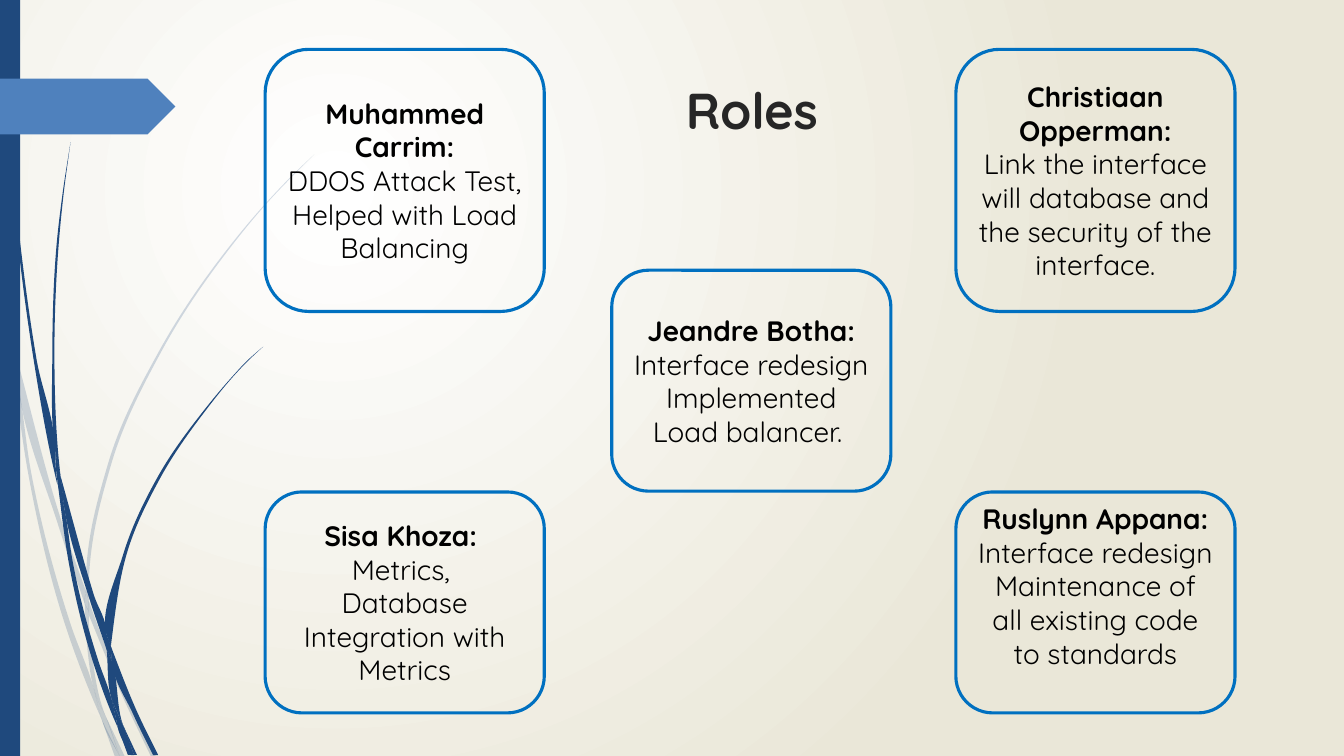
"""Build the Roles slide: five rounded role cards beside a spray of grass blades."""
from pptx import Presentation
from pptx.dml.color import RGBColor
from pptx.enum import shapes, text
from pptx.oxml import ns, xmlchemy
from pptx.util import Pt

NAVY = RGBColor(0x1F, 0x49, 0x7D)
BLUE = RGBColor(0x4F, 0x81, 0xBD)
OUTLINE = RGBColor(0x00, 0x70, 0xC0)
WHITE = RGBColor(0xFF, 0xFF, 0xFF)
SAND = RGBColor(0xEA, 0xE7, 0xD8)
CHARCOAL = RGBColor(0x26, 0x26, 0x26)
BLACK = RGBColor(0, 0, 0)
FONT = "Quicksand"
SLIDE_SIZE = (960, 540)

COLUMNS = (189.4, 437, 682.8)
ROWS = {"top": (35.3, 187.2), "middle": (193, 157.8), "bottom": (351.4, 157.8)}
CARD_WIDTH = 199.4
CARDS = [
    (2, "bottom", 27.6, "Ruslynn Appana:",
     ["Interface redesign", "Maintenance of all existing code to standards"]),
    (1, "middle", 3.6, "Jeandre Botha:", ["Interface redesign", "Implemented Load balancer. "]),
    (0, "top", 3.6, "Muhammed Carrim:", ["DDOS Attack Test,", "Helped with Load Balancing"]),
    (0, "bottom", 3.6, "Sisa Khoza: ", ["Metrics, \nDatabase Integration with Metrics"]),
    (2, "top", 3.6, "Christiaan Opperman:",
     ["Link the interface will database and the security of the interface."]),
]

PALE_BLADES = [
    ([(0, 203), (6.5, 231.8), (7.9, 252)], [(0, 215.3), (7.2, 247.7), (7.9, 252)]),
    ([(10.1, 248.4), (44.6, 374.4), (61.2, 421.9)],
     [(10.1, 248.4), (12.2, 270.7), (41.8, 375.8), (60.5, 431.3)]),
    ([(63.4, 429.1), (66.2, 437), (91.4, 498.2), (111.6, 540.7)],
     [(63.4, 439.2), (88.6, 499.7), (108, 540.7)]),
    ([(75.6, 511.9), (89.3, 540.7)], [(75.6, 511.9), (85.7, 540.7)]),
    ([(7.9, 252), (20.2, 338.4), (46.8, 447.1), (66.2, 499), (72.7, 514.1)],
     [(7.9, 252), (12.2, 270.7), (22.3, 337.7), (50.4, 445.7), (67, 491.8), (71.3, 509),
      (72.7, 514.1)]),
    ([(60.5, 431.3), (62.6, 465.1), (67, 491.8), (69.1, 498.2), (75.6, 511.9)],
     [(60.5, 431.3), (63.4, 437.8), (63.4, 439.2), (65.5, 465.1), (74.2, 508.3), (75.6, 511.9)]),
    ([(224.6, 110.2), (208.1, 126), (193, 141.8), (164.2, 175.7), (113.8, 250.6), (77, 331.9),
      (61.2, 420.5), (61.2, 421.9)],
     [(224.6, 110.2), (208.8, 126), (193, 142.6), (164.9, 176.4), (115.2, 251.3), (79.2, 332.6),
      (63.4, 420.5), (63.4, 429.1)]),
    ([(72.7, 514.1), (82.1, 540.7)], [(72.7, 514.1), (85.7, 540.7)]),
    ([(61.2, 421.9), (60.5, 431.3), (63.4, 437.8), (63.4, 439.2)],
     [(61.2, 421.9), (63.4, 429.1), (63.4, 439.2)]),
    ([(67, 491.8), (71.3, 509), (72.7, 514.1), (85.7, 540.7)],
     [(67, 491.8), (69.1, 498.2), (75.6, 511.9), (85.7, 540.7)]),
]
DARK_BLADES = [
    ([(2.2, 0), (2.9, 34.6), (5, 79.2), (12.2, 167.8), (23.8, 255.6), (40.3, 343.4), (41, 346.3)],
     [(2.9, 0), (3.6, 34.6), (5.8, 78.5), (13.7, 167), (25.9, 255.6), (39.6, 326.2), (39.6, 329),
      (41, 346.3)]),
    ([(43.2, 339.8), (67, 424.8), (76.3, 454.3), (76.3, 455.8), (76.3, 464.4)],
     [(43.2, 339.8), (46.1, 363.6), (63.4, 426.2), (76.3, 464.4)]),
    ([(79.2, 461.5), (81.4, 467.3), (97.9, 508.3), (113, 539.3)],
     [(79.2, 461.5), (79.9, 472.3), (95, 509.8), (109.4, 539.3)]),
    ([(41, 343.4), (49, 401), (67, 474.5), (79.9, 509.8), (84.2, 519.8)],
     [(41, 343.4), (46.1, 363.6), (51.8, 400.3), (70.6, 473), (79.2, 497.5), (83.5, 516.2),
      (84.2, 519.8)]),
    ([(50.4, 101.5), (44.6, 139), (40.3, 176.4), (37.4, 251.3), (39.6, 323.3), (43.2, 339.8)],
     [(50.4, 101.5), (45.4, 139), (41.8, 176.4), (38.9, 251.3), (41.8, 326.2), (43.2, 339.8)]),
    ([(87.8, 517.7), (95.8, 539.3)], [(87.8, 517.7), (97.9, 539.3)]),
    ([(39.6, 323.3), (39.6, 326.2), (41, 343.4), (46.1, 363.6)],
     [(39.6, 323.3), (43.2, 339.8), (46.1, 363.6)]),
    ([(187.9, 247.7), (176.4, 257.8), (166.3, 268.6), (146.9, 291.6), (112.3, 341.3),
      (87.8, 396.7), (76.3, 454.3), (79.2, 461.5)],
     [(187.9, 247.7), (176.4, 258.5), (166.3, 269.3), (147.6, 292.3), (113.8, 342.7),
      (90, 397.4), (79.9, 455.8), (79.2, 461.5)]),
    ([(84.2, 519.8), (91.4, 539.3)], [(84.2, 519.8), (94.3, 539.3)]),
    ([(76.3, 464.4), (79.2, 497.5), (83.5, 508.3), (87.8, 517.7)],
     [(76.3, 464.4), (78.5, 468.7), (79.9, 472.3), (87.1, 515.5), (87.8, 517.7)]),
    ([(76.3, 454.3), (76.3, 464.4), (78.5, 468.7), (79.9, 472.3)],
     [(76.3, 454.3), (79.2, 461.5), (79.9, 472.3)]),
    ([(79.2, 497.5), (83.5, 516.2), (84.2, 519.8), (93.6, 539.3)],
     [(79.2, 497.5), (83.5, 508.3), (87.8, 517.7), (95.8, 539.3)]),
]
SPRAYS = [(20, PALE_BLADES), (100, DARK_BLADES)]


def curve_through(knots):
    """Return two control points and an end point for each gap between knots."""
    gaps = [abs(b[0] - a[0]) + abs(b[1] - a[1]) for a, b in zip(knots, knots[1:])]
    slopes = [tuple((b[i] - a[i]) / gap for i in (0, 1))
              for a, b, gap in zip(knots, knots[1:], gaps)]
    inner = [tuple((before[i] * following + after[i] * gap) / (gap + following) for i in (0, 1))
             for before, after, gap, following in zip(slopes, slopes[1:], gaps, gaps[1:])]
    tangents = [slopes[0], *inner, slopes[-1]]
    return [(tuple(start[i] + gap * leave[i] / 3 for i in (0, 1)),
             tuple(end[i] - gap * arrive[i] / 3 for i in (0, 1)), end)
            for start, end, gap, leave, arrive
            in zip(knots, knots[1:], gaps, tangents, tangents[1:])]


def paint(shape, color):
    """Give a shape a plain fill without line or shadow."""
    shape.shadow.inherit = False
    shape.fill.solid()
    shape.fill.fore_color.rgb = color
    shape.line.fill.background()


def add_blade(group, opacity, left_edge, right_edge):
    """Draw one curved piece of grass between its two edges."""
    curves = curve_through(left_edge)
    if left_edge[-1] != right_edge[-1]:
        curves += curve_through([left_edge[-1], right_edge[-1]])
    curves += curve_through(right_edge[::-1])
    builder = group.shapes.build_freeform(*map(Pt, left_edge[0]))
    builder.add_line_segments([tuple(map(Pt, curve[-1])) for curve in curves], close=True)
    blade = builder.convert_to_shape()
    paint(blade, NAVY)
    lines = list(blade._element.iter(ns.qn("a:lnTo")))
    for line, curve in zip(lines, curves):
        bend = xmlchemy.OxmlElement("a:cubicBezTo")
        for x, y in curve:
            point = xmlchemy.OxmlElement("a:pt")
            point.set("x", str(Pt(x) - blade.left))
            point.set("y", str(Pt(y) - blade.top))
            bend.append(point)
        line.getparent().replace(line, bend)
    if opacity < 100:
        alpha = xmlchemy.OxmlElement("a:alpha")
        alpha.set("val", str(opacity * 1000))
        blade._element.spPr.find(ns.qn("a:solidFill"))[0].append(alpha)


def write(shape, lines, size=20, color=BLACK, anchor=text.MSO_ANCHOR.MIDDLE, bottom=3.6):
    """Write centred paragraphs into a shape, the first one bold."""
    frame = shape.text_frame
    frame.word_wrap = True
    frame.vertical_anchor = anchor
    frame.margin_bottom = Pt(bottom)
    for index, line in enumerate(lines):
        paragraph = frame.add_paragraph() if index else frame.paragraphs[0]
        paragraph.alignment = text.PP_ALIGN.CENTER
        for number, part in enumerate(line.split("\n")):
            if number:
                paragraph.add_line_break()
            run = paragraph.add_run()
            run.text = part
            run.font.name = FONT
            run.font.size = Pt(size)
            run.font.bold = index == 0
            run.font.color.rgb = color


def set_background(slide):
    """Spread a circular gradient from white to sand over the slide."""
    fill = slide.background.fill
    fill.gradient()
    for stop, color in zip(fill.gradient_stops, (WHITE, SAND)):
        stop.color.rgb = color
    gradient = slide._element.find(".//" + ns.qn("a:gradFill"))
    gradient.remove(gradient.find(ns.qn("a:lin")))
    circle = xmlchemy.OxmlElement("a:path")
    circle.set("path", "circle")
    focus = xmlchemy.OxmlElement("a:fillToRect")
    for side, percent in zip("ltrb", (50, 50, 100, 100)):
        focus.set(side, str(percent * 1000))
    circle.append(focus)
    gradient.append(circle)


def main():
    """Assemble and save the slide."""
    presentation = Presentation()
    presentation.slide_width, presentation.slide_height = map(Pt, SLIDE_SIZE)
    slide = presentation.slides.add_slide(presentation.slide_layouts[6])
    set_background(slide)
    for opacity, blades in SPRAYS:
        group = slide.shapes.add_group_shape()
        for left_edge, right_edge in blades:
            add_blade(group, opacity, left_edge, right_edge)
    preset = shapes.MSO_SHAPE
    for kind, box, color in ((preset.RECTANGLE, (0, 0, 14.4, 540), NAVY),
                             (preset.PENTAGON, (0, 56.2, 125.3, 39.8), BLUE)):
        paint(slide.shapes.add_shape(kind, *map(Pt, box)), color)
    title = slide.shapes.add_textbox(*map(Pt, (398.9, 53.3, 276.5, 44.6)))
    write(title, ["Roles"], size=36, color=CHARCOAL, anchor=text.MSO_ANCHOR.TOP)
    for column, row, bottom, name, duties in CARDS:
        top, height = ROWS[row]
        box = (COLUMNS[column], top, CARD_WIDTH, height)
        card = slide.shapes.add_shape(preset.ROUNDED_RECTANGLE, *map(Pt, box))
        card.shadow.inherit = False
        card.fill.background()
        card.line.color.rgb = OUTLINE
        card.line.width = Pt(2.25)
        write(card, [name, *duties], bottom=bottom)
    presentation.save("out.pptx")


if __name__ == "__main__":
    main()
